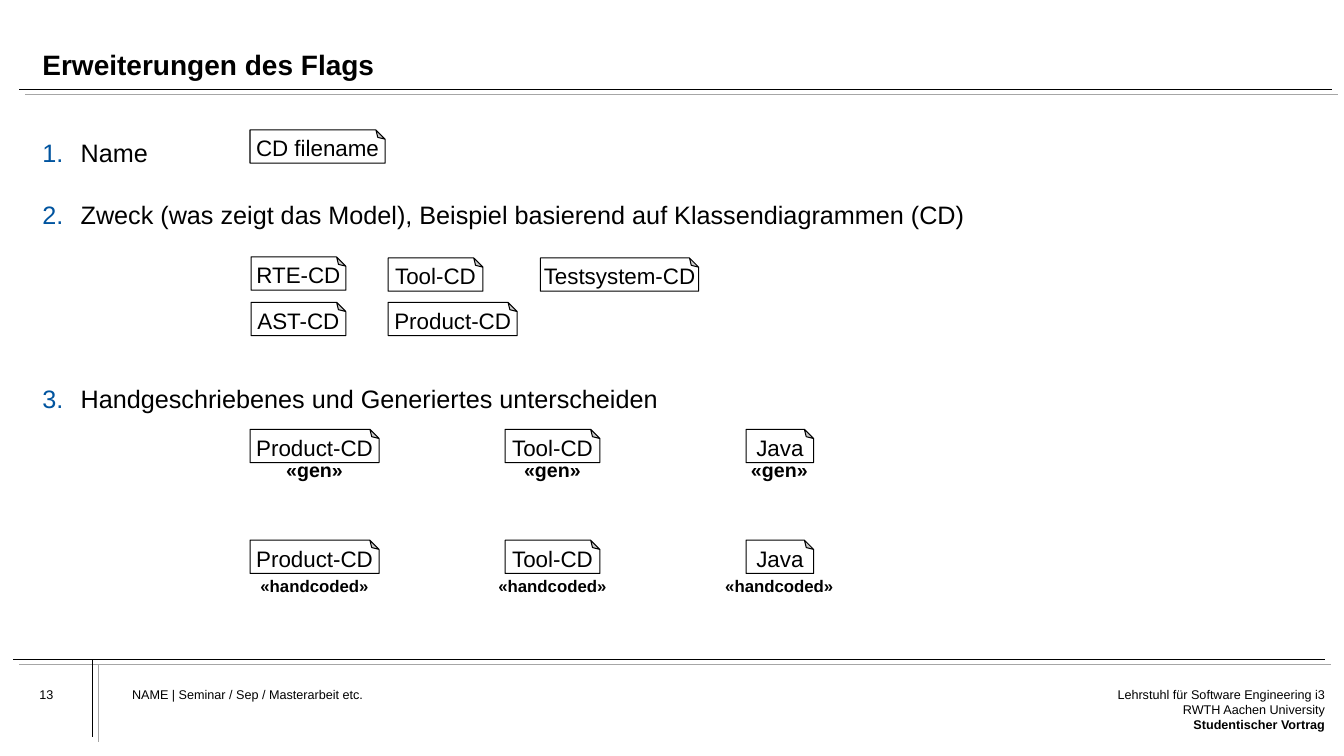
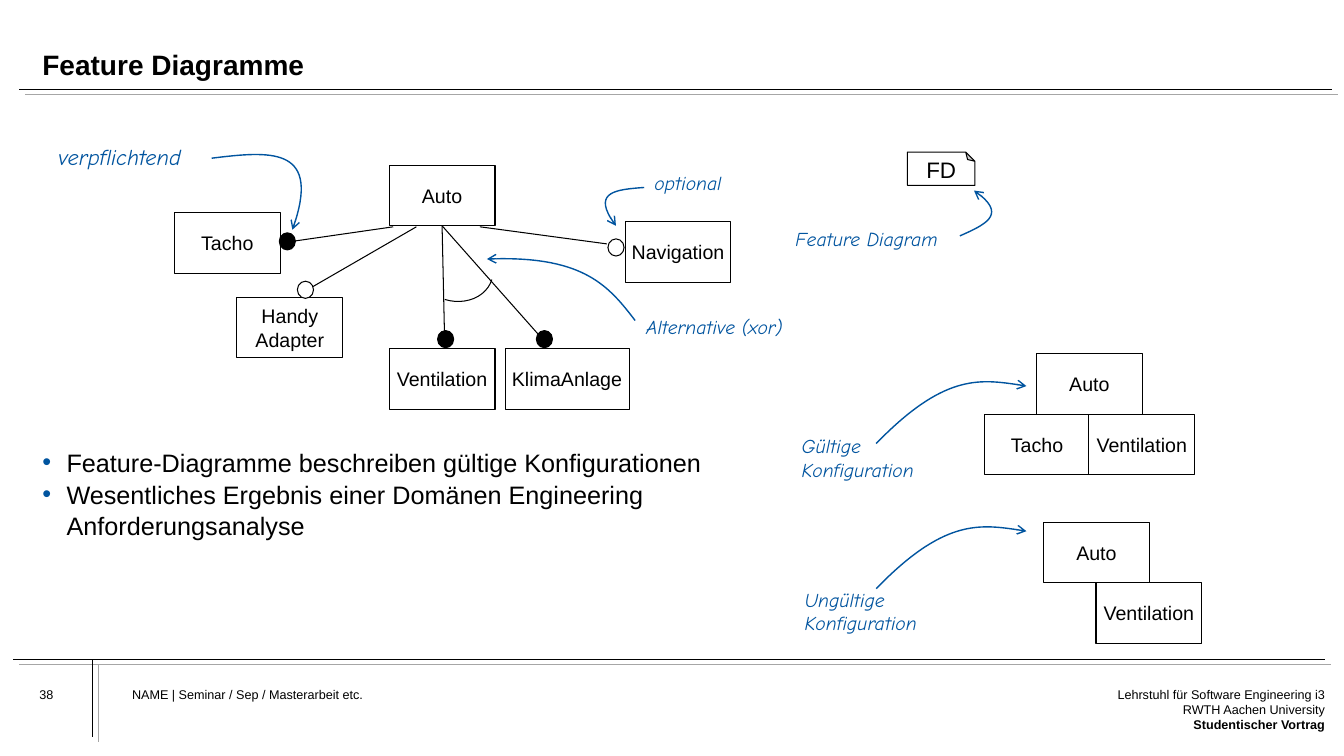
from dataclasses import dataclass

from lxml import etree
from pptx import Presentation
from pptx.dml.color import RGBColor
from pptx.enum.shapes import MSO_CONNECTOR, MSO_SHAPE
from pptx.enum.text import MSO_ANCHOR, MSO_AUTO_SIZE, PP_ALIGN
from pptx.oxml.ns import qn
from pptx.util import Pt

PX = 9144  # one px is a hundredth of an inch
LEFT, CENTER, RIGHT = PP_ALIGN.LEFT, PP_ALIGN.CENTER, PP_ALIGN.RIGHT
TOP, MIDDLE, BOTTOM = MSO_ANCHOR.TOP, MSO_ANCHOR.MIDDLE, MSO_ANCHOR.BOTTOM
RECT, OVAL, ARC = MSO_SHAPE.RECTANGLE, MSO_SHAPE.OVAL, MSO_SHAPE.ARC
NOTE, STRAIGHT = MSO_SHAPE.FOLDED_CORNER, MSO_CONNECTOR.STRAIGHT
BOTTOM_SIDE = 2


@dataclass(frozen=True)
class Theme:
    black: RGBColor = RGBColor(0x00, 0x00, 0x00)
    white: RGBColor = RGBColor(0xFF, 0xFF, 0xFF)
    grey: RGBColor = RGBColor(0xA6, 0xA6, 0xA6)
    blue: RGBColor = RGBColor(0x00, 0x54, 0x9F)
    font: str = "Arial"
    hand: str = "Comic Neue"
    title: int = 20
    body: int = 18
    flag: int = 16
    feature: int = 14
    small: int = 12
    footer: int = 9
    frame_line: float = 0.5
    line: float = 0.75
    arrow_line: float = 1


THEME = Theme()


def put(slide, preset, box, text="", size=THEME.feature, align=CENTER, fill=THEME.white,
        bold=False, hand=False):
    """Add a preset shape, or a plain text box when preset is None."""
    area = [value * PX for value in box]
    if preset is None:
        item = slide.shapes.add_textbox(*area)
    else:
        item = slide.shapes.add_shape(preset, *area)
        item.shadow.inherit = False
        item.line.color.rgb = THEME.black
        item.line.width = Pt(THEME.line)
        if fill is None:
            item.fill.background()
        else:
            item.fill.solid()
            item.fill.fore_color.rgb = fill
    frame = item.text_frame
    frame.margin_left = frame.margin_right = frame.margin_top = frame.margin_bottom = 0
    frame.word_wrap = True
    frame.vertical_anchor = MIDDLE if preset else TOP
    if text:
        frame.text = text
        for paragraph in frame.paragraphs:
            paragraph.alignment = align
            paragraph.font.name = THEME.hand if hand else THEME.font
            paragraph.font.size = Pt(size)
            paragraph.font.bold = bold
            paragraph.font.italic = hand
            paragraph.font.color.rgb = THEME.blue if hand else THEME.black
    if preset == NOTE:
        # The fold sits at the top: flip the shape, turn the text back
        fold = etree.SubElement(next(item._element.iter(qn("a:avLst"))), qn("a:gd"))
        fold.set("name", "adj")
        fold.set("fmla", "val 27600")
        item._element.spPr.find(qn("a:xfrm")).set("flipV", "1")
        frame._txBody.bodyPr.set("rot", "10800000")
        frame.paragraphs[0].line_spacing = 0.7
    return item


def rule(slide, ends, color=THEME.black, width=THEME.line):
    """Add a straight line without a shadow."""
    edge = slide.shapes.add_connector(STRAIGHT, *[value * PX for value in ends])
    edge.line.color.rgb = color
    edge.line.width = Pt(width)
    etree.SubElement(edge._element.spPr, qn("a:effectLst"))
    return edge


deck = Presentation()
deck.slide_width, deck.slide_height = 1333 * PX, 750 * PX

# Shared frame, titles and lists: bullet tag and attribute, indent, (text, blank lines before)
pages = [
    ("Erweiterungen des Flags", "13", (42, 135, 1256, 480),
     "a:buAutoNum", ("type", "arabicPeriod"), 38,
     [("Name", 0),
      ("Zweck (was zeigt das Model), Beispiel basierend auf Klassendiagrammen (CD)", 1),
      ("Handgeschriebenes und Generiertes unterscheiden", 5)]),
    ("Feature Diagramme", "38", (42, 442, 660, 172),
     "a:buChar", ("char", "•"), 24,
     [("Feature-Diagramme beschreiben gültige Konfigurationen", 0),
      ("Wesentliches Ergebnis einer Domänen Engineering Anforderungsanalyse", 0)]),
]
LINE_PITCH = 21.7
slides = []
for heading, number, list_box, bullet_tag, bullet_value, indent, entries in pages:
    slide = deck.slides.add_slide(deck.slide_layouts[1])
    slides.append(slide)

    for x1, y1, x2, y2 in [(19, 89, 1321, 89), (13, 654, 1314, 654), (92, 654, 92, 731)]:
        rule(slide, (x1, y1, x2, y2), width=THEME.frame_line)
        rule(slide, (x1 + 6, y1 + 5, x2 + 6, y2 + 5), THEME.grey, THEME.frame_line)
    put(slide, None, (39, 681, 80, 43), number, THEME.footer, LEFT)
    put(slide, None, (131, 681, 766, 69), "NAME | Seminar / Sep / Masterarbeit etc.",
        THEME.footer, LEFT)
    chair = put(slide, None, (1099, 681, 215, 69),
                "Lehrstuhl für Software Engineering i3\nRWTH Aachen University\n"
                "Studentischer Vortrag", THEME.footer, RIGHT)
    chair.text_frame.paragraphs[-1].font.bold = True

    title, body = slide.shapes.title, slide.placeholders[1]
    for holder, box, anchor in [(title, (42, 22, 1256, 59), BOTTOM), (body, list_box, TOP)]:
        holder.left, holder.top, holder.width, holder.height = [value * PX for value in box]
        frame = holder.text_frame
        frame.margin_left = frame.margin_right = frame.margin_top = frame.margin_bottom = 0
        frame.vertical_anchor = anchor
        frame.auto_size = MSO_AUTO_SIZE.NONE
    title.text_frame.text = heading
    body.text_frame.text = "\n".join(text for text, _ in entries)

    for paragraph, (_, blank_lines) in zip(body.text_frame.paragraphs, entries):
        properties = paragraph._p.get_or_add_pPr()
        properties.set("marL", str(indent * PX))
        properties.set("indent", str(-indent * PX))
        bullet_color = etree.SubElement(properties, qn("a:buClr"))
        etree.SubElement(bullet_color, qn("a:srgbClr")).set("val", str(THEME.blue))
        etree.SubElement(properties, qn("a:buFont")).set("typeface", THEME.font)
        etree.SubElement(properties, qn(bullet_tag)).set(*bullet_value)
        paragraph.line_spacing = 1.05
        paragraph.space_before = Pt(LINE_PITCH * blank_lines)
    title.text_frame.paragraphs[0].line_spacing = 0.9
    for holder, size in [(title, THEME.title), (body, THEME.body)]:
        for paragraph in holder.text_frame.paragraphs:
            paragraph.alignment = LEFT
            paragraph.font.name = THEME.font
            paragraph.font.size = Pt(size)
            paragraph.font.bold = holder is title
            paragraph.font.color.rgb = THEME.black

flags, features = slides
FLAG_H = 33

# Flags for name and purpose
for text, x, y, width in [
    ("CD filename", 248, 129, 134),
    ("RTE-CD", 249, 255, 94),
    ("AST-CD", 249, 300, 94),
    ("Tool-CD", 385, 256, 94),
    ("Product-CD", 385, 300, 128),
    ("Testsystem-CD", 536, 256, 157),
]:
    put(flags, NOTE, (x, y, width, FLAG_H), text, THEME.flag)

# Generated and handwritten flags, each with its stereotype below
STEREOTYPE_W = 130
for stereotype, size, flag_y, stereotype_y in [
    ("«gen»", THEME.feature, 426, 454),
    ("«handcoded»", THEME.small, 536, 571),
]:
    for text, x, width in [("Product-CD", 248, 128), ("Tool-CD", 501, 94), ("Java", 740, 67)]:
        put(flags, NOTE, (x, flag_y, width, FLAG_H), text, THEME.flag)
        put(flags, None, (x + (width - STEREOTYPE_W) // 2, stereotype_y, STEREOTYPE_W, 25),
            stereotype, size, bold=True)

# Feature tree
FEATURE_W, FEATURE_H = 105, 60
root = put(features, RECT, (386, 164, FEATURE_W, FEATURE_H), "Auto")
for text, x, y, width in [
    ("Tacho", 173, 211, FEATURE_W),
    ("Handy\nAdapter", 235, 295, FEATURE_W),
    ("Ventilation", 386, 346, FEATURE_W),
    ("KlimaAnlage", 501, 346, 123),
    ("Navigation", 620, 220, FEATURE_W),
]:
    put(features, RECT, (x, y, width, FEATURE_H), text)

# Edges from the root, each ending in a mandatory or an optional dot
for ends, dot_x, dot_y, mandatory, from_middle in [
    ((390, 225, 286, 240), 277, 231, True, False),
    ((413, 225, 304, 288), 295, 279, False, False),
    ((439, 224, 441, 338), 434, 328, True, True),
    ((439, 224, 543, 342), 532, 328, True, True),
    ((476, 225, 602, 242), 603, 237, False, False),
]:
    edge = rule(features, ends)
    if from_middle:
        edge.begin_connect(root, BOTTOM_SIDE)
    put(features, OVAL, (dot_x, dot_y, 16, 17), fill=THEME.black if mandatory else THEME.white)
alternative = put(features, ARC, (418, 227, 65, 78), fill=None)
alternative.rotation = 107

# Diagram flag and the two example configurations
put(features, NOTE, (900, 151, 67, FLAG_H), "FD", THEME.flag)
for text, x, y in [
    ("Auto", 1028, 351),
    ("Tacho", 976, 411),
    ("Ventilation", 1080, 411),
    ("Auto", 1035, 518),
    ("Ventilation", 1087, 578),
]:
    put(features, RECT, (x, y, FEATURE_W, FEATURE_H), text)

# Handwritten remarks, each with a Bézier arrow: start, two control points, tip
for remark, size, x, y, start, *bends in [
    ("verpflichtend", THEME.flag, 58, 142, (210, 157), (267, 150), (320, 145), (290, 228)),
    ("optional", THEME.feature, 649, 170, (639, 186), (611, 188), (586, 191), (611, 224)),
    ("Alternative (xor)", THEME.feature, 641, 312,
     (630, 318), (604, 284), (578, 253), (483, 257)),
    ("Feature Diagram", THEME.feature, 789, 225, (952, 234), (977, 223), (1000, 212), (966, 189)),
    ("Gültige\nKonfiguration", THEME.feature, 795, 431,
     (869, 440), (935, 372), (976, 376), (1018, 383)),
    ("Ungültige\nKonfiguration", THEME.feature, 798, 583,
     (869, 584), (935, 516), (976, 520), (1018, 527)),
]:
    put(features, None, (x, y, 160, 25 * len(remark.split("\n"))), remark, size, LEFT, hand=True)
    builder = features.shapes.build_freeform(*start, scale=PX)
    builder.add_line_segments(bends, close=False)
    arrow = builder.convert_to_shape()
    arrow.shadow.inherit = False
    arrow.fill.background()
    arrow.line.color.rgb = THEME.blue
    arrow.line.width = Pt(THEME.arrow_line)
    outline = next(arrow._element.iter(qn("a:path")))
    segments = outline.findall(qn("a:lnTo"))
    curve = etree.SubElement(outline, qn("a:cubicBezTo"))
    for segment in segments:
        curve.append(segment[0])
        outline.remove(segment)
    tip = etree.SubElement(arrow.line._get_or_add_ln(), qn("a:tailEnd"))
    tip.set("type", "arrow")

deck.save("out.pptx")
